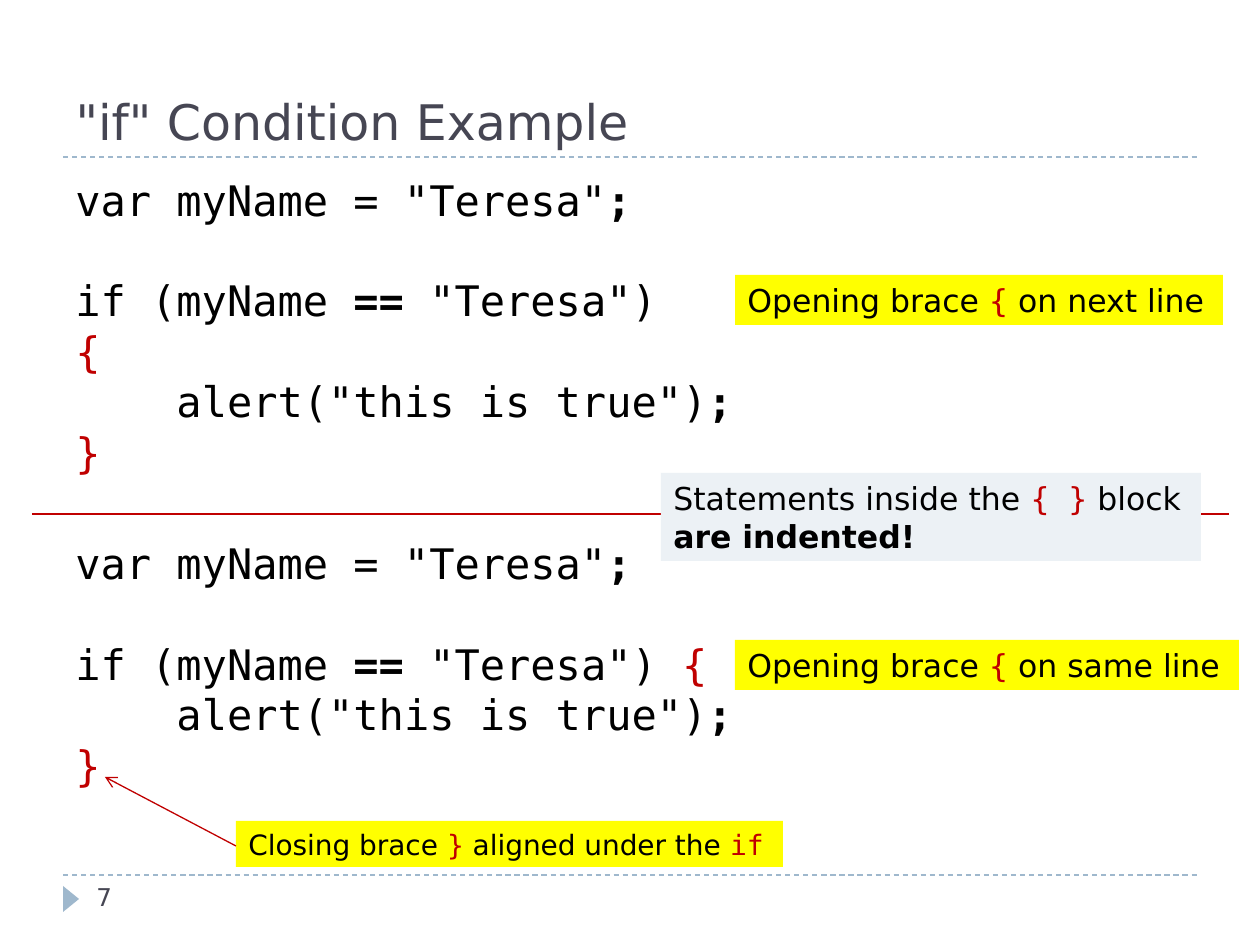
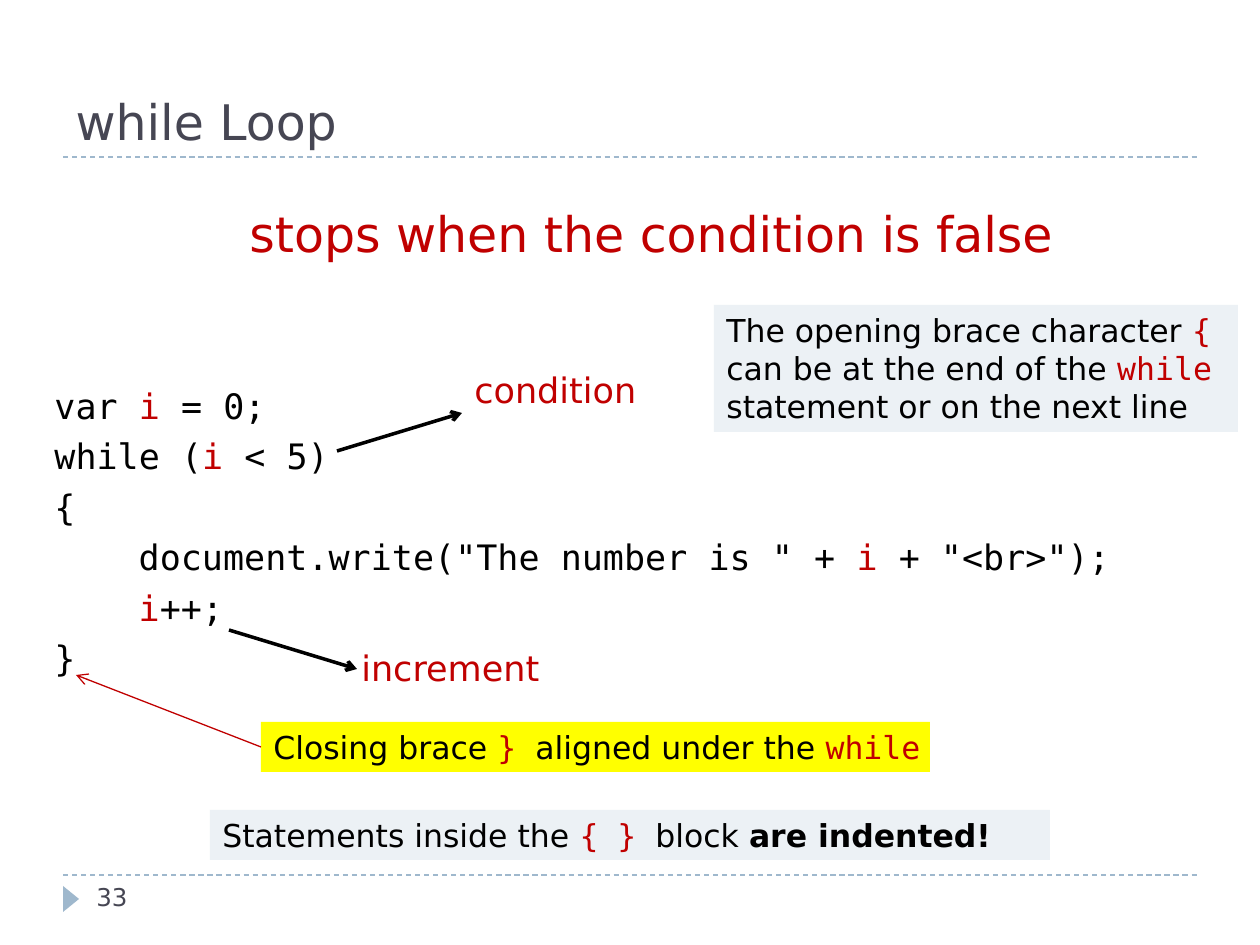
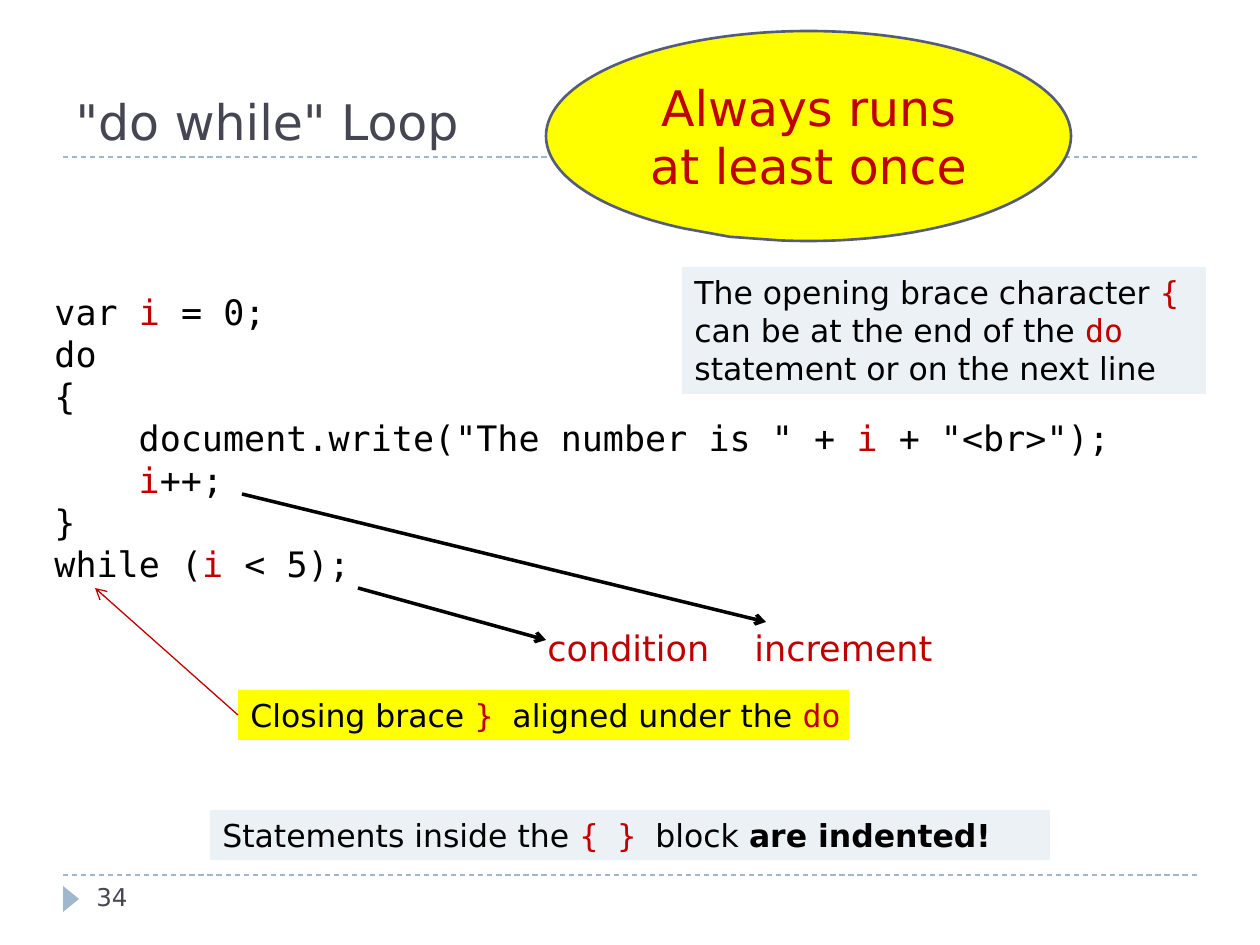
from dataclasses import dataclass

from lxml.etree import SubElement
from pptx import Presentation
from pptx.dml.color import RGBColor
from pptx.enum.dml import MSO_LINE
from pptx.enum.shapes import MSO_CONNECTOR, MSO_SHAPE
from pptx.enum.text import MSO_ANCHOR, MSO_AUTO_SIZE, PP_ALIGN
from pptx.oxml.ns import qn
from pptx.util import Pt

SCALE = 914400 / 126
PITCH = 1.2  # line height of the fonts, in ems


@dataclass(frozen=True)
class Theme:
    """Colours, fonts and type sizes."""
    ink: str = "000000"
    slate: str = "464653"
    red: str = "C00000"
    steel: str = "9FB8CD"
    yellow: str = "FFFF00"
    pale: str = "ECF1F5"
    edge: str = "545C79"
    sans: str = "DejaVu Sans"
    mono: str = "DejaVu Sans Mono"
    head: int = 28
    code: int = 24
    small: int = 20
    note: int = 18
    tiny: int = 16
    foot: int = 14


def px(size):
    """Turn pixels into EMU."""
    return round(size * SCALE)


def box(*sizes):
    """Turn left, top, width and height into EMU."""
    return [px(size) for size in sizes]


def rgb(code):
    """Turn a hex code into a colour."""
    return RGBColor.from_string(code)


def write(frame, text, size, font=Theme.sans, color=Theme.ink, accent=Theme.mono,
          align=PP_ALIGN.LEFT, before=0, line=1.0):
    """Add lines of text: |red|, *bold*, blank line = gap, leading blanks = indent."""
    gap = before
    for row in text.split("\n"):
        if not row:
            gap += PITCH * size
            continue
        para = frame.paragraphs[-1]
        if para.runs:
            para = frame.add_paragraph()
        para.alignment, para.line_spacing = align, line
        para.space_before, para.space_after = Pt(gap), Pt(0)
        gap = 0
        bare = row.lstrip(" ")
        inset = round(Pt(size) * 0.602 * (len(row) - len(bare)))
        props = para._p.get_or_add_pPr()
        props.set("marL", str(inset))
        props.set("indent", "0")
        for i, part in enumerate(bare.split("|")):
            for j, bit in enumerate(part.split("*")):
                if bit:
                    run = para.add_run()
                    run.text = bit
                    style = run.font
                    style.size, style.bold = Pt(size), j % 2 == 1
                    style.name = accent if i % 2 else font
                    style.color.rgb = rgb(Theme.red if i % 2 else color)


class Deck:
    """Holds the style and the current slide."""

    def __init__(self):
        """Start an empty deck."""
        self.theme = Theme()
        self.file = Presentation()
        self.file.slide_width, self.file.slide_height = px(1260), px(945)
        self.slide = None

    def page(self, title, number):
        """Start a slide with its title, rules and page number."""
        theme = self.theme
        self.slide = self.file.slides.add_slide(self.file.slide_layouts[5])
        head = self.slide.shapes.title
        head.left, head.top, head.width, head.height = box(63, 21, 1134, 136)
        frame = head.text_frame
        frame.auto_size = MSO_AUTO_SIZE.NONE
        frame.vertical_anchor = MSO_ANCHOR.BOTTOM
        write(frame, title, theme.head, color=theme.slate)
        for y in (157, 875):
            self.line((63, y), (1197, y), theme.steel, 0.75, dash=True)
        mark = self.shape(MSO_SHAPE.ISOSCELES_TRIANGLE, (58, 891, 26, 16), theme.steel)
        mark.rotation = 90
        self.label((84, 876, 273, 50), str(number), theme.foot, color=theme.slate)

    def line(self, start, end, color, width, dash=False, arrow=False):
        """Draw a straight line or an arrow."""
        link = self.slide.shapes.add_connector(
            MSO_CONNECTOR.STRAIGHT, *box(*start, *end))
        link.line.color.rgb, link.line.width = rgb(color), Pt(width)
        if dash:
            link.line.dash_style = MSO_LINE.DASH
        if arrow:
            SubElement(link.line._get_or_add_ln(), qn("a:tailEnd"), type="arrow")
        SubElement(link._element.spPr, qn("a:effectLst"))

    def thin(self, start, end):
        """Point from a note to the code."""
        self.line(start, end, self.theme.red, 0.75, arrow=True)

    def thick(self, start, end):
        """Point from the code to its label."""
        self.line(start, end, self.theme.ink, 2, arrow=True)

    def shape(self, kind, place, fill, edge=None):
        """Add a filled preset shape."""
        form = self.slide.shapes.add_shape(kind, *box(*place))
        form.shadow.inherit = False
        form.fill.solid()
        form.fill.fore_color.rgb = rgb(fill)
        if edge:
            form.line.color.rgb, form.line.width = rgb(edge), Pt(1.5)
        else:
            form.line.fill.background()
        return form

    def frame(self, place):
        """Add an empty text box that wraps."""
        frame = self.slide.shapes.add_textbox(*box(*place)).text_frame
        frame.word_wrap = True
        return frame

    def label(self, place, text, size, **look):
        """Add a plain text box."""
        write(self.frame(place), text, size, **look)

    def note(self, place, text, fill, size=Theme.note, wrap=False):
        """Add a note on a coloured ground."""
        frame = self.shape(MSO_SHAPE.RECTANGLE, place, fill).text_frame
        frame.word_wrap = wrap
        frame.vertical_anchor = MSO_ANCHOR.TOP
        write(frame, text, size)

    def term(self, place, text):
        """Name a part of the loop in red."""
        self.label(place, text, self.theme.small, color=self.theme.red)

    def hints(self, left, top, word):
        """Add the two pale notes that both loops share."""
        self.note((left, top, 524, 127),
                  f"The opening brace character |{{|\ncan be at the end of the |{word}|\n"
                  "statement or on the next line", self.theme.pale)
        self.note((210, 810, 840, 50),
                  "Statements inside the |{ } |block *are indented!*",
                  self.theme.pale, wrap=True)

    def bubble(self, place, text):
        """Add the oval callout."""
        theme = self.theme
        form = self.shape(MSO_SHAPE.OVAL_CALLOUT, place, theme.yellow, theme.edge)
        form.adjustments[0], form.adjustments[1] = -0.15, 0.48
        frame = form.text_frame
        frame.word_wrap = True
        frame.vertical_anchor = MSO_ANCHOR.MIDDLE
        write(frame, text, theme.head, color=theme.red, align=PP_ALIGN.CENTER)


BODY = """{
    document.write("The number is " + |i| + "<br>");
    |i|++;
}"""


def branch(deck):
    """Build the slide on the if condition."""
    theme = deck.theme
    deck.page('"if" Condition Example', 7)
    deck.line((32, 514), (1229, 514), theme.red, 1.5)
    frame = deck.frame((63, 168, 1134, 693))
    blank = PITCH * theme.code + 6
    for brace, before in (("\n|{|", 0), (" |{|", blank)):
        write(frame, 'var myName = "Teresa"*;*\n\nif (myName *==* "Teresa")' + brace
              + '\n    alert("this is true")*;*\n|}|',
              theme.code, theme.mono, before=before)
    for top, width, place in ((275, 488, "next"), (640, 504, "same")):
        deck.note((735, top, width, 50), f"Opening brace |{{| on {place} line",
                  theme.yellow)
    deck.note((236, 821, 547, 46), "Closing brace |}| aligned under the |if|",
              theme.yellow, theme.tiny)
    deck.thin((236, 846), (105, 777))
    deck.note((661, 473, 540, 88),
              "Statements inside the |{ }| block\n*are indented!*", theme.pale)


def while_loop(deck):
    """Build the slide on the while loop."""
    theme = deck.theme
    deck.page("while Loop", 33)
    frame = deck.frame((42, 168, 1218, 680))
    write(frame, "stops when the condition is false", theme.head, color=theme.red,
          align=PP_ALIGN.CENTER, line=1.5)
    write(frame, "var |i| = 0;\nwhile (|i| < 5)\n" + BODY, theme.small, theme.mono,
          before=65, line=1.2)
    deck.thick((229, 630), (357, 669))
    deck.thick((337, 451), (462, 413))
    deck.term((462, 362, 199, 55), "condition")
    deck.term((349, 640, 239, 55), "increment")
    deck.note((261, 722, 669, 50), "Closing brace |} |aligned under the |while|",
              theme.yellow)
    deck.thin((261, 747), (76, 675))
    deck.hints(714, 305, "while")


def do_loop(deck):
    """Build the slide on the do while loop."""
    theme = deck.theme
    deck.page('"do while" Loop', 34)
    deck.label((42, 284, 1218, 420), f"var |i| = 0;\ndo\n{BODY}\nwhile (|i| < 5);",
               theme.small, font=theme.mono)
    deck.thick((358, 588), (546, 640))
    deck.thick((242, 494), (766, 622))
    deck.term((535, 620, 200, 55), "condition")
    deck.term((742, 620, 239, 55), "increment")
    deck.bubble((546, 31, 525, 210), "Always runs at least once")
    deck.note((238, 690, 611, 50), "Closing brace |} |aligned under the |do|",
              theme.yellow)
    deck.thin((238, 715), (95, 588))
    deck.hints(682, 267, "do")


deck = Deck()
for build in (branch, while_loop, do_loop):
    build(deck)
deck.file.save("out.pptx")
